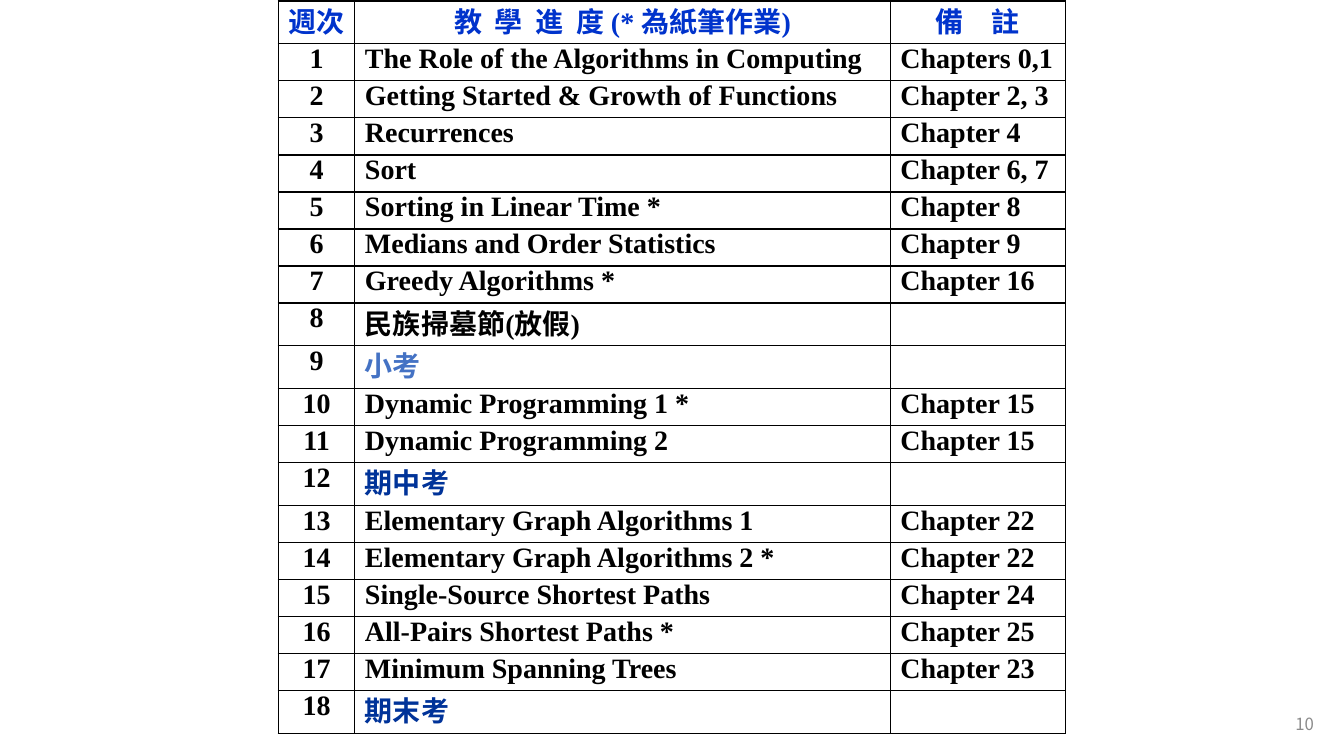
import dataclasses

import lxml.etree
import pptx
import pptx.dml.color
import pptx.enum.text
import pptx.oxml.ns
import pptx.util

Inches = pptx.util.Inches
Align = pptx.enum.text.PP_ALIGN


@dataclasses.dataclass(frozen=True)
class Theme:
    latin: str = "Times New Roman"
    asian: str = "Noto Sans CJK SC"
    table_size: int = 20
    number_size: int = 12
    line_width: float = 1
    line_spacing: float = 0.8
    ink: str = "000000"
    paper: str = "FFFFFF"
    header: str = "0033CC"
    quiz: str = "4472C4"
    exam: str = "003399"
    muted: str = "8C8C8C"


THEME = Theme()
HEADINGS = ["週次", "教  學  進  度 (* 為紙筆作業)", "備　註"]
WEEKS = [
    ("The Role of the Algorithms in Computing", "Chapters 0,1"),
    ("Getting Started & Growth of Functions", "Chapter 2, 3"),
    ("Recurrences", "Chapter 4"),
    ("Sort", "Chapter 6, 7"),
    ("Sorting in Linear Time *", "Chapter 8"),
    ("Medians and Order Statistics", "Chapter 9"),
    ("Greedy Algorithms *", "Chapter 16"),
    ("民族掃墓節(放假)", ""),
    ("小考", ""),
    ("Dynamic Programming 1 *", "Chapter 15"),
    ("Dynamic Programming 2", "Chapter 15"),
    ("期中考", ""),
    ("Elementary Graph Algorithms 1", "Chapter 22"),
    ("Elementary Graph Algorithms 2 *", "Chapter 22"),
    ("Single-Source Shortest Paths", "Chapter 24"),
    ("All-Pairs Shortest Paths *", "Chapter 25"),
    ("Minimum Spanning Trees", "Chapter 23"),
    ("期末考", ""),
]
TOPIC_COLORS = {"小考": THEME.quiz, "期中考": THEME.exam, "期末考": THEME.exam}
COLUMN_WIDTHS = [0.76, 5.31, 1.74]
TALL_ROW = 1.16


def add_element(parent, tag, **attributes):
    return lxml.etree.SubElement(parent, pptx.oxml.ns.qn(tag), **attributes)


def write_text(para, text, color, size, latin, bold=False):
    span = para.add_run()
    span.text = text
    formats = {"name": latin, "size": pptx.util.Pt(size), "bold": bold}
    for name, value in formats.items():
        setattr(span.font, name, value)
    span.font.color.rgb = pptx.dml.color.RGBColor.from_string(color)
    add_element(span.font._element, "a:ea", typeface=THEME.asian)


def add_borders(cell):
    properties = cell._tc.get_or_add_tcPr()
    for side in ("L", "R", "T", "B"):
        width = str(pptx.util.Pt(THEME.line_width))
        line = add_element(properties, f"a:ln{side}", w=width)
        add_element(add_element(line, "a:solidFill"), "a:srgbClr", val=THEME.ink)


def fill_cell(cell, text, color, align):
    add_borders(cell)
    cell.fill.solid()
    cell.fill.fore_color.rgb = pptx.dml.color.RGBColor.from_string(THEME.paper)
    para = cell.text_frame.paragraphs[0]
    para.alignment = align
    para.line_spacing = THEME.line_spacing
    if text:
        write_text(para, text, color, THEME.table_size, THEME.latin, bold=True)


def row_shares():
    """Relative row heights: the header and weeks without a chapter are taller."""
    return [TALL_ROW] + [1 if chapter else TALL_ROW for _, chapter in WEEKS]


def add_schedule(page, left, top, width, height):
    shares = row_shares()
    table = page.shapes.add_table(
        len(shares), len(HEADINGS),
        Inches(left), Inches(top), Inches(width), Inches(height),
    ).table
    for column, share in zip(table.columns, COLUMN_WIDTHS):
        column.width = Inches(width * share / sum(COLUMN_WIDTHS))
    for row, share in zip(table.rows, shares):
        row.height = Inches(height * share / sum(shares))

    heading_aligns = [Align.LEFT, Align.CENTER, Align.CENTER]
    for column, (heading, align) in enumerate(zip(HEADINGS, heading_aligns)):
        fill_cell(table.cell(0, column), heading, THEME.header, align)
    for week, (topic, chapter) in enumerate(WEEKS, start=1):
        topic_color = TOPIC_COLORS.get(topic, THEME.ink)
        fill_cell(table.cell(week, 0), str(week), THEME.ink, Align.CENTER)
        fill_cell(table.cell(week, 1), topic, topic_color, Align.LEFT)
        fill_cell(table.cell(week, 2), chapter, THEME.ink, Align.LEFT)


def add_page_number(page, left, top, width, height, number):
    box = page.shapes.add_textbox(
        Inches(left), Inches(top), Inches(width), Inches(height))
    box.text_frame.word_wrap = True
    box.text_frame.vertical_anchor = pptx.enum.text.MSO_ANCHOR.MIDDLE
    para = box.text_frame.paragraphs[0]
    para.alignment = Align.RIGHT
    write_text(para, str(number), THEME.muted, THEME.number_size, THEME.asian)


def main():
    deck = pptx.Presentation()
    deck.slide_width, deck.slide_height = Inches(13.33), Inches(7.5)
    page = deck.slides.add_slide(deck.slide_layouts.get_by_name("Blank"))
    add_page_number(page, 12.53, 6.98, 0.6, 0.4, number=10)
    add_schedule(page, 2.76, 0.01, 7.81, 7.26)
    deck.save("out.pptx")


if __name__ == "__main__":
    main()
